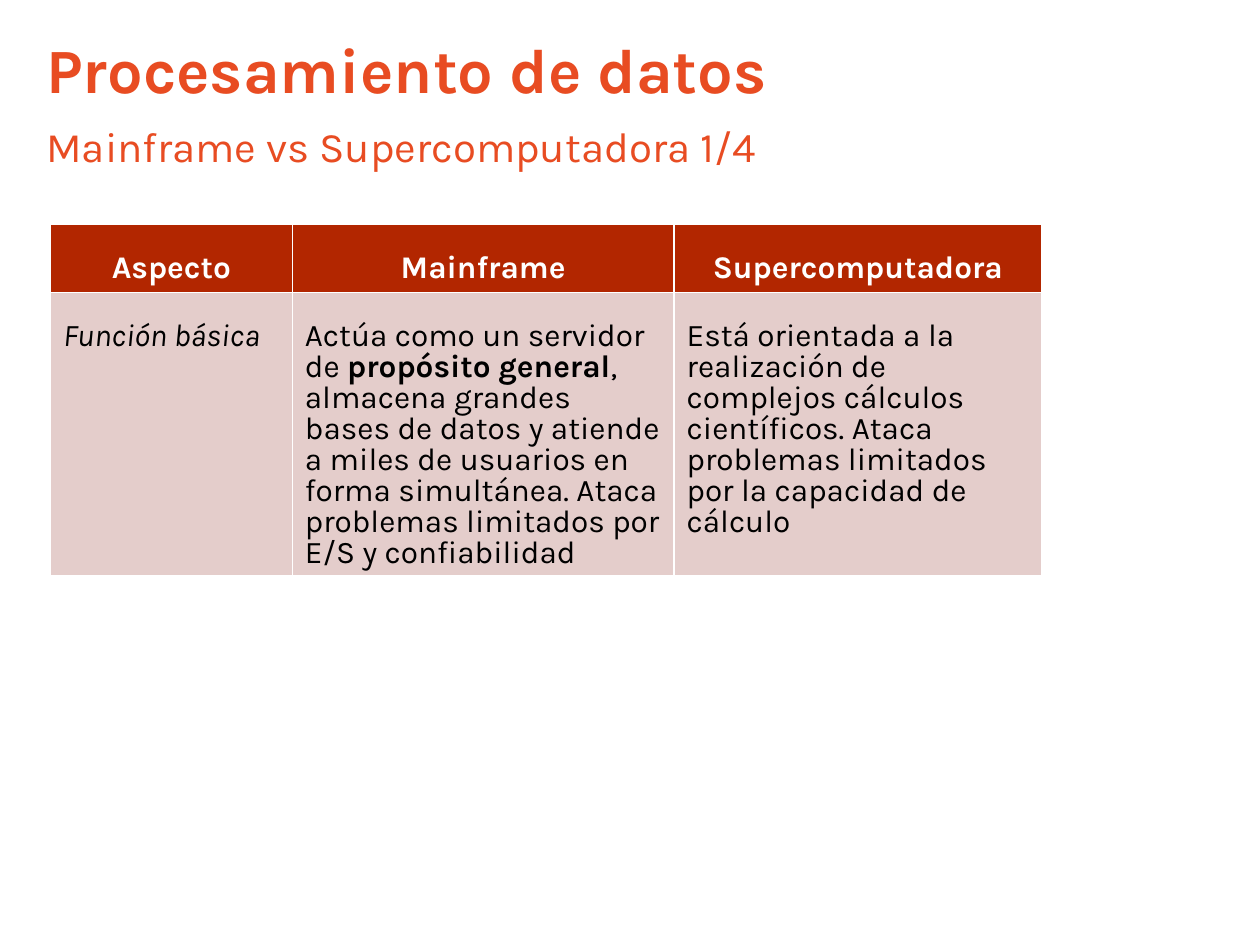
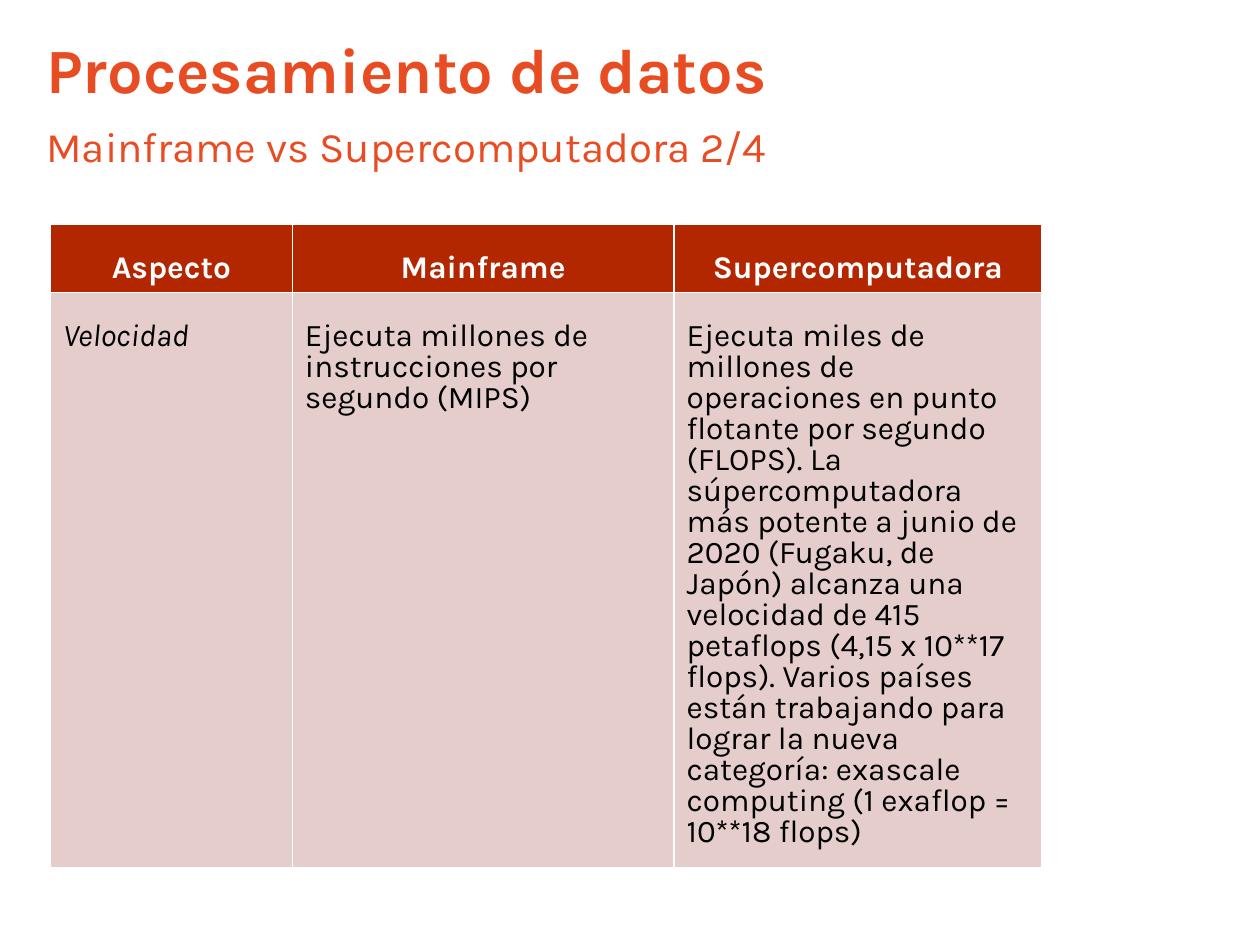
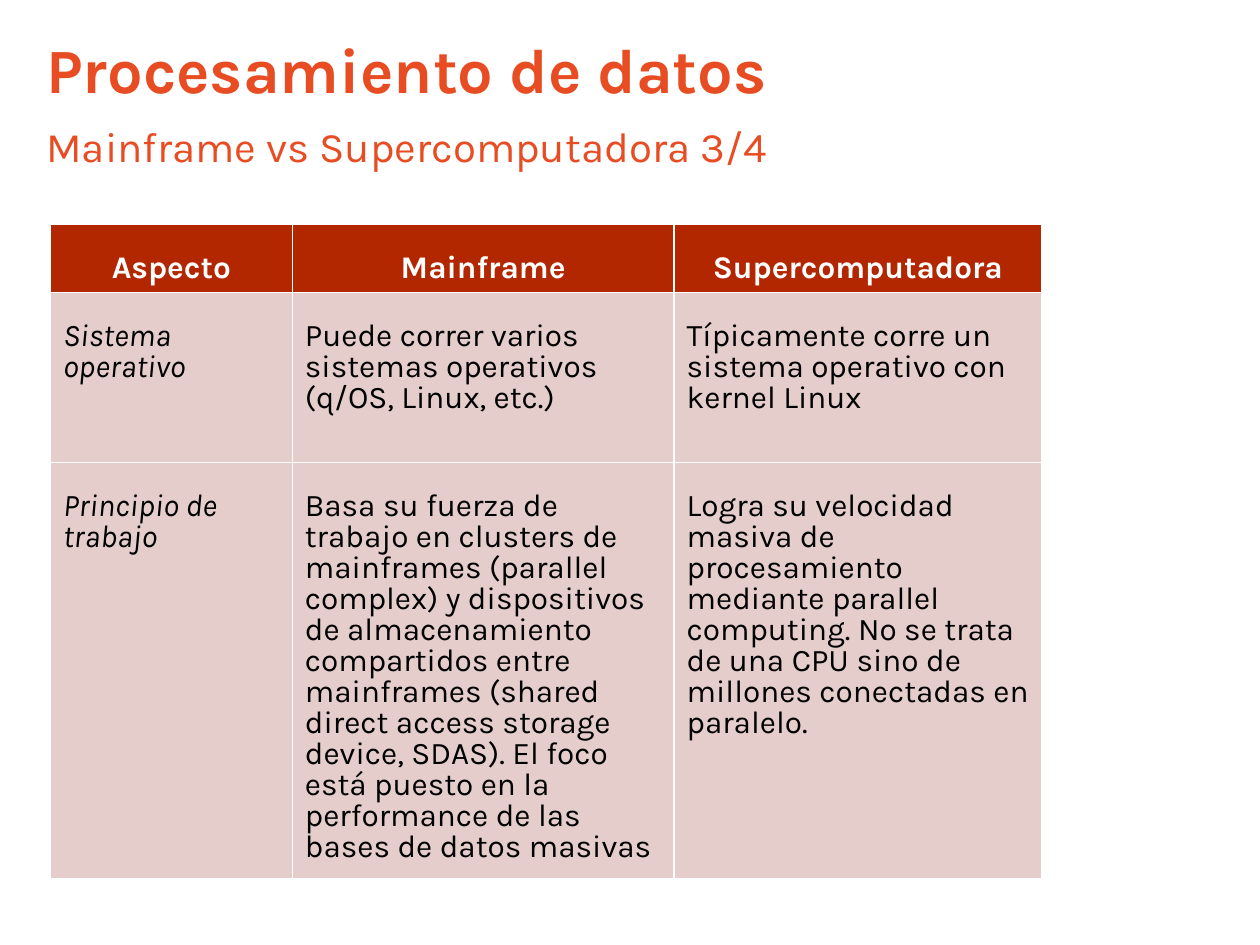
from lxml import etree
from pptx import Presentation
from pptx.dml.color import RGBColor
from pptx.enum.text import MSO_ANCHOR, PP_ALIGN
from pptx.oxml.ns import qn
from pptx.util import Inches, Pt

ORANGE = RGBColor(0xE8, 0x4C, 0x22)
RED = RGBColor(0xB2, 0x26, 0x00)
PINK = RGBColor(0xE4, 0xCD, 0xCB)
WHITE = RGBColor(0xFF, 0xFF, 0xFF)
BLACK = RGBColor(0x00, 0x00, 0x00)
TOP, MIDDLE = MSO_ANCHOR.TOP, MSO_ANCHOR.MIDDLE
LEFT, CENTER = PP_ALIGN.LEFT, PP_ALIGN.CENTER

FONT = "Karla"
TITLE = "Procesamiento de datos"
SUBTITLE = "Mainframe vs Supercomputadora {}/4"
HEADER = ("Aspecto", "Mainframe", "Supercomputadora")
COL_WIDTHS = (1.92, 3.03, 2.92)
HEADER_HEIGHT, ROW_HEIGHT = 0.54, 1.35
TITLE_BOX = (0.27, 0.13, 7.67, 0.82)
SUBTITLE_BOX = (0.27, 0.91, 7.17, 0.62)
TABLE_ORIGIN = (0.4, 1.78)

COMPARISONS = [
    [("Función básica",
      ("Actúa como un servidor de ", "propósito general",
       ", almacena grandes bases de datos y atiende a miles de usuarios en "
       "forma simultánea. Ataca problemas limitados por E/S y confiabilidad"),
      "Está orientada a la realización de complejos cálculos científicos. "
      "Ataca problemas limitados por la capacidad de cálculo")],
    [("Velocidad",
      "Ejecuta millones de instrucciones por segundo (MIPS)",
      "Ejecuta miles de millones de operaciones en punto flotante por segundo "
      "(FLOPS). La súpercomputadora más potente a junio de 2020 (Fugaku, de "
      "Japón) alcanza una velocidad de 415 petaflops (4,15 x 10**17 flops). "
      "Varios países están trabajando para lograr la nueva categoría: exascale "
      "computing (1 exaflop = 10**18 flops)")],
    [("Sistema operativo",
      "Puede correr varios sistemas operativos (q/OS, Linux, etc.)",
      "Típicamente corre un sistema operativo con kernel Linux"),
     ("Principio de trabajo",
      "Basa su fuerza de trabajo en clusters de mainframes (parallel complex) "
      "y dispositivos de almacenamiento compartidos entre mainframes (shared "
      "direct access storage device, SDAS). El foco está puesto en la "
      "performance de las bases de datos masivas",
      "Logra su velocidad masiva de procesamiento mediante parallel computing. "
      "No se trata de una CPU sino de millones conectadas en paralelo.")],
]


def write(tf, text, size=18, color=BLACK, bold=False, italic=False,
          align=LEFT, spacing=None):
    tf.word_wrap = True
    p = tf.paragraphs[0]
    p.alignment = align
    p.line_spacing = spacing
    parts = (text,) if isinstance(text, str) else text
    for i, part in enumerate(parts):
        r = p.add_run()
        r.text = part
        r.font.name = FONT
        r.font.size = Pt(size)
        r.font.color.rgb = color
        r.font.bold = bold or i % 2 == 1
        r.font.italic = italic


def add_heading(slide, box, text, anchor=TOP, **fmt):
    tf = slide.shapes.add_textbox(*map(Inches, box)).text_frame
    tf.vertical_anchor = anchor
    write(tf, text, color=ORANGE, **fmt)


def add_borders(cell):
    tcPr = cell._tc.get_or_add_tcPr()
    for side in ("lnL", "lnR", "lnT", "lnB"):
        ln = etree.SubElement(tcPr, qn(f"a:{side}"), w=str(Pt(0.75)))
        fill = etree.SubElement(ln, qn("a:solidFill"))
        etree.SubElement(fill, qn("a:srgbClr"), val=str(WHITE))


def fill_cell(cell, text, fill, **fmt):
    cell.margin_left = cell.margin_right = Inches(0.1)
    cell.margin_top = Inches(0.23)
    cell.margin_bottom = Inches(0.05)
    add_borders(cell)
    cell.fill.solid()
    cell.fill.fore_color.rgb = fill
    write(cell.text_frame, text, spacing=0.84, **fmt)


def add_comparison(slide, origin, rows):
    height = HEADER_HEIGHT + ROW_HEIGHT * len(rows)
    size = (sum(COL_WIDTHS), height)
    table = slide.shapes.add_table(len(rows) + 1, len(HEADER),
                                   *map(Inches, origin + size)).table
    for column, width in zip(table.columns, COL_WIDTHS):
        column.width = Inches(width)
    for i, row in enumerate([HEADER, *rows]):
        table.rows[i].height = Inches(ROW_HEIGHT if i else HEADER_HEIGHT)
        for j, text in enumerate(row):
            cell = table.cell(i, j)
            if i == 0:
                fill_cell(cell, text, RED, color=WHITE, bold=True, align=CENTER)
            else:
                fill_cell(cell, text, PINK, italic=j == 0)


def add_comparison_slide(prs, number, rows):
    slide = prs.slides.add_slide(prs.slide_layouts[6])
    add_comparison(slide, TABLE_ORIGIN, rows)
    add_heading(slide, TITLE_BOX, TITLE, anchor=MIDDLE, size=36, bold=True)
    add_heading(slide, SUBTITLE_BOX, SUBTITLE.format(number), size=24)


def main():
    prs = Presentation()
    prs.slide_width, prs.slide_height = Inches(10), Inches(7.5)
    for number, rows in enumerate(COMPARISONS, 1):
        add_comparison_slide(prs, number, rows)
    prs.save("out.pptx")


if __name__ == "__main__":
    main()
